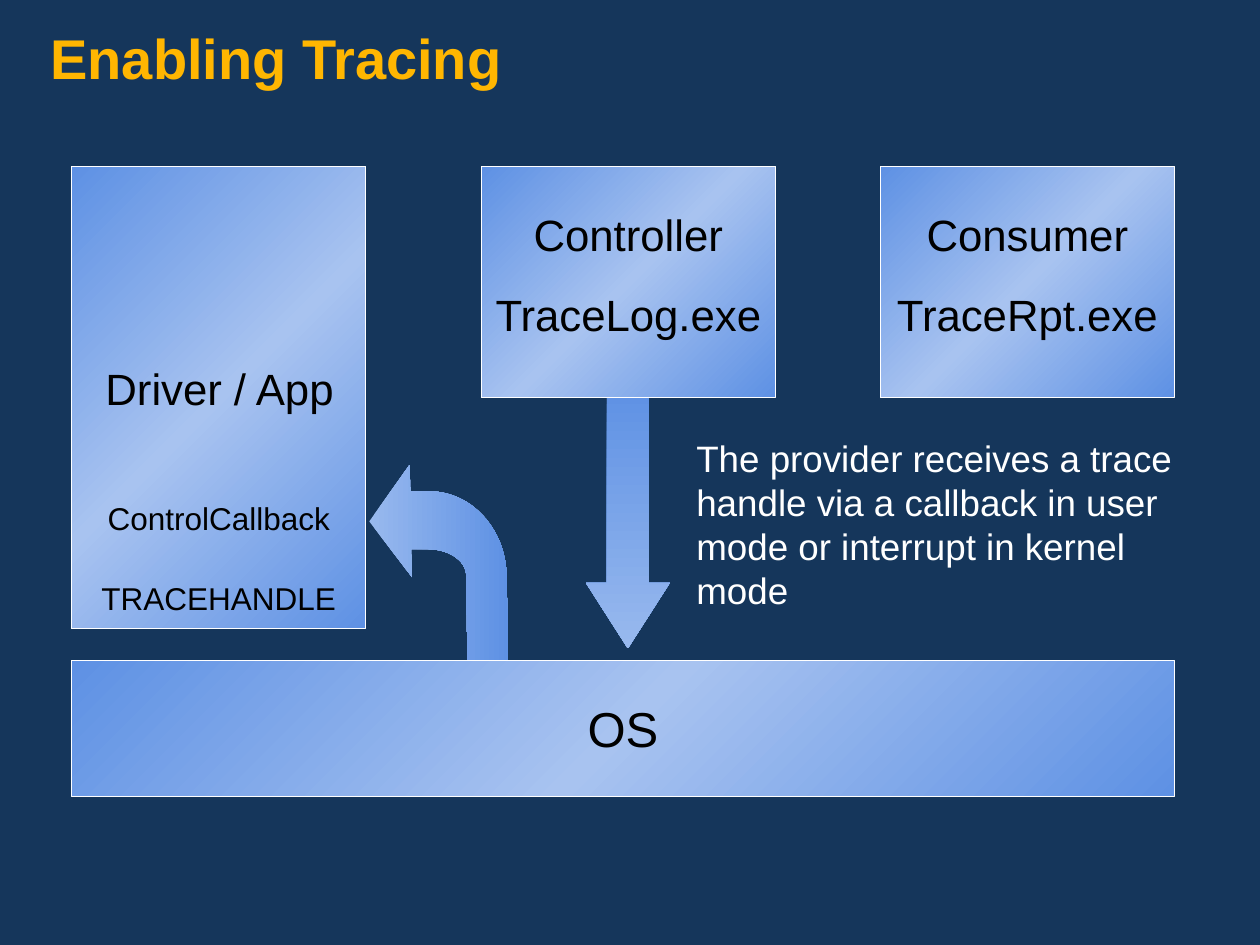
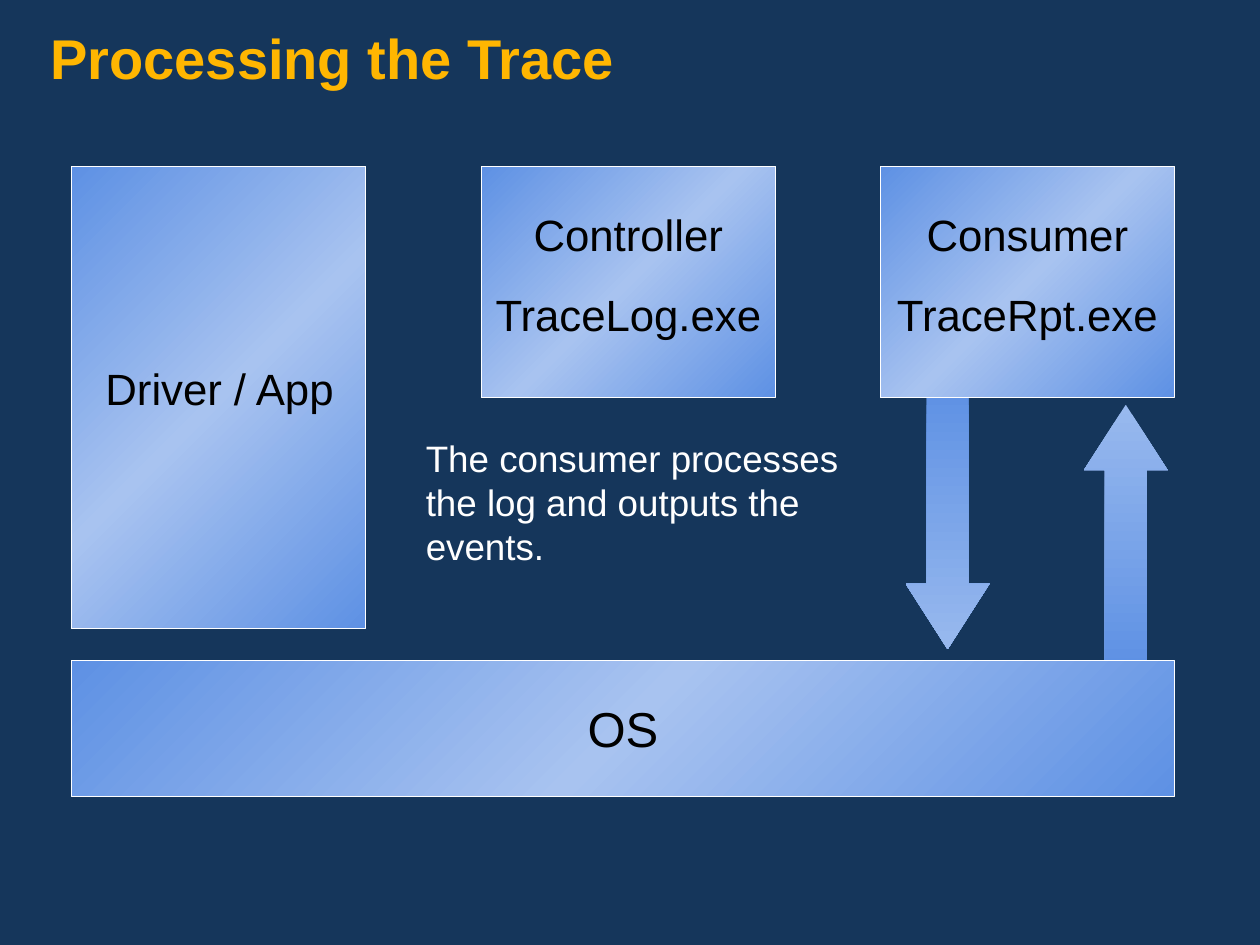
from dataclasses import dataclass
from typing import Any, NamedTuple

from pptx import Presentation
from pptx.dml.color import RGBColor
from pptx.dml.fill import FillFormat
from pptx.enum.shapes import MSO_SHAPE as Preset
from pptx.enum.text import MSO_ANCHOR as Anchor, MSO_AUTO_SIZE as AutoSize, PP_ALIGN as Align
from pptx.oxml import parse_xml
from pptx.oxml.ns import nsdecls, qn
from pptx.shapes.autoshape import Shape
from pptx.slide import Slide
from pptx.text.text import TextFrame
from pptx.util import Pt

NAVY = RGBColor(0x15, 0x36, 0x5B)
GOLD = RGBColor(0xFF, 0xB6, 0x01)
WHITE = RGBColor(0xFF, 0xFF, 0xFF)
BLACK = RGBColor(0x00, 0x00, 0x00)
BLUE = RGBColor(0x5E, 0x91, 0xE4)
SKY = RGBColor(0x98, 0xB9, 0xEE)
PALE = RGBColor(0xA8, 0xC3, 0xF0)

TITLE_ONLY = 5
COMPONENT_WIDTH = 168
COMPONENT_TOP = 95.2
DRIVER_LEFT, CONTROLLER_LEFT, CONSUMER_LEFT = 41, 275, 503
OS_TOP = 377.3
NOTE_TOP = 245.5

Point = tuple[float, float]


class Area(NamedTuple):
    left: float
    top: float
    width: float
    height: float

    def lengths(self) -> list[Pt]:
        return [Pt(value) for value in self]


@dataclass(frozen=True)
class Label:
    area: Area
    lines: tuple[str, ...]
    size: float
    color: RGBColor = BLACK
    alignment: Align = Align.CENTER
    space_between: float = 0


@dataclass(frozen=True)
class BlockArrow:
    preset: Preset
    left: float
    top: float
    colors: tuple[RGBColor, ...]


@dataclass(frozen=True)
class TraceSlide:
    title: str
    note: Label
    arrows: tuple[BlockArrow, ...]
    driver_labels: tuple[Label, ...] = ()
    has_callback_arrow: bool = False


def note(left: float, width: float, text: str) -> Label:
    return Label(Area(left, NOTE_TOP, width, 108), (text,), 21, WHITE, Align.LEFT)


def program_label(left: float, role: str, program: str) -> Label:
    area = Area(left, 115.2, COMPONENT_WIDTH, 83)
    return Label(area, (role, program), 25, space_between=15.6)


COMPONENTS = (
    Area(DRIVER_LEFT, COMPONENT_TOP, COMPONENT_WIDTH, 264),
    Area(CONTROLLER_LEFT, COMPONENT_TOP, COMPONENT_WIDTH, 132),
    Area(CONSUMER_LEFT, COMPONENT_TOP, COMPONENT_WIDTH, 132),
)
COMPONENT_LABELS = (
    Label(Area(53.2, 203, 150, 37), ("Driver / App",), 25, alignment=Align.LEFT),
    program_label(CONTROLLER_LEFT, "Controller", "TraceLog.exe"),
    program_label(CONSUMER_LEFT, "Consumer", "TraceRpt.exe"),
)
OS_AREA = Area(DRIVER_LEFT, OS_TOP, CONSUMER_LEFT + COMPONENT_WIDTH - DRIVER_LEFT, 77.8)

SLIDES = (
    TraceSlide(
        "Enabling Tracing",
        note(390.8, 296, "The provider receives a trace handle via a callback in user mode "
                         "or interrupt in kernel mode"),
        (BlockArrow(Preset.DOWN_ARROW, 334.8, 220.5, (BLUE, SKY)),),
        (
            Label(Area(DRIVER_LEFT, 281.5, COMPONENT_WIDTH, 29), ("ControlCallback",), 18),
            Label(Area(DRIVER_LEFT, 327.5, COMPONENT_WIDTH, 28), ("TRACEHANDLE",), 18),
        ),
        has_callback_arrow=True,
    ),
    TraceSlide(
        "Processing the Trace",
        note(236.2, 276, "The consumer processes the log and outputs the events."),
        (
            BlockArrow(Preset.UP_ARROW, 619.3, 231.3, (SKY, BLUE)),
            BlockArrow(Preset.DOWN_ARROW, 517.5, 221, (BLUE, SKY)),
        ),
    ),
)


def set_attributes(target: Any, values: dict[str, Any]) -> None:
    for name, value in values.items():
        setattr(target, name, value)


def fill_gradient(fill: FillFormat, colors: tuple[RGBColor, ...], clockwise_angle: float) -> None:
    """Spread the colours evenly along the given direction."""
    fill.gradient()
    fill.gradient_angle = (360 - clockwise_angle) % 360
    stops = fill._xPr.find(qn("a:gradFill")).find(qn("a:gsLst"))
    for stop in list(stops):
        stops.remove(stop)
    for index, color in enumerate(colors):
        position = 100000 * index // (len(colors) - 1)
        stops.append(parse_xml(
            f'<a:gs {nsdecls("a")} pos="{position}"><a:srgbClr val="{color}"/></a:gs>'
        ))


def write_lines(frame: TextFrame, label: Label, anchor: Anchor = Anchor.TOP) -> None:
    set_attributes(frame, {"word_wrap": True, "vertical_anchor": anchor})
    for index, line in enumerate(label.lines):
        paragraph = frame.add_paragraph() if index else frame.paragraphs[0]
        paragraph.text = line
        paragraph.alignment = label.alignment
        if index:
            paragraph.space_before = Pt(label.space_between)
        set_attributes(paragraph.font, {"name": "Arial", "size": Pt(label.size)})
        paragraph.font.color.rgb = label.color


def add_label(slide: Slide, label: Label) -> None:
    write_lines(slide.shapes.add_textbox(*label.area.lengths()).text_frame, label)


def add_panel(slide: Slide, area: Area) -> Shape:
    panel = slide.shapes.add_shape(Preset.RECTANGLE, *area.lengths())
    panel.shadow.inherit = False
    fill_gradient(panel.fill, (BLUE, PALE, BLUE), 45)
    panel.line.color.rgb = WHITE
    panel.line.width = Pt(0.75)
    return panel


def add_block_arrow(slide: Slide, arrow: BlockArrow) -> None:
    area = Area(arrow.left, arrow.top, 48, 150)
    shape = slide.shapes.add_shape(arrow.preset, *area.lengths())
    shape.adjustments[0], shape.adjustments[1] = 0.5, 0.78
    shape.shadow.inherit = False
    shape.line.fill.background()
    fill_gradient(shape.fill, arrow.colors, 90)


def curve(start: Point, control_1: Point, control_2: Point, end: Point,
          steps: int = 24) -> list[Point]:
    """Points along a cubic Bézier curve, both ends included."""
    points = []
    for step in range(steps + 1):
        t = step / steps
        weights = ((1 - t) ** 3, 3 * t * (1 - t) ** 2, 3 * t ** 2 * (1 - t), t ** 3)
        corners = (start, control_1, control_2, end)
        points.append(tuple(
            sum(weight * corner[axis] for weight, corner in zip(weights, corners))
            for axis in (0, 1)
        ))
    return points


def add_callback_arrow(slide: Slide) -> None:
    """Bent arrow from the OS up to the driver."""
    outline = [
        (211, 298), (234, 265.7), (234.5, 280.8),
        *curve((244.1, 280.8), (268.6, 280.1), (288.7, 301.7), (289.4, 328.3)),
        (290.5, 378), (267.1, 378.7),
        *curve((266.4, 329), (266.4, 320.4), (256.3, 313.9), (244.8, 313.9)),
        (234.9, 313.9), (235.4, 329.8),
    ]
    vertices = [(Pt(x), Pt(y)) for x, y in outline]
    builder = slide.shapes.build_freeform(*vertices[0])
    builder.add_line_segments(vertices[1:], close=True)
    shape = builder.convert_to_shape()
    shape.shadow.inherit = False
    shape.line.fill.background()
    fill_gradient(shape.fill, (SKY, BLUE), 0)


def set_title(slide: Slide, text: str) -> None:
    area = Area(0, 0, 720, 54)
    title = slide.shapes.title
    set_attributes(title, dict(zip(("left", "top", "width", "height"), area.lengths())))
    frame = title.text_frame
    set_attributes(frame, {
        "margin_left": Pt(28.8), "margin_right": Pt(28.8),
        "margin_top": Pt(18), "margin_bottom": Pt(3.6),
        "auto_size": AutoSize.NONE,
    })
    write_lines(frame, Label(area, (text,), 32, GOLD, Align.LEFT))
    frame.paragraphs[0].line_spacing = 0.9
    frame.paragraphs[0].font.bold = True


def draw_slide(slide: Slide, content: TraceSlide) -> None:
    set_title(slide, content.title)
    for arrow in content.arrows:
        add_block_arrow(slide, arrow)
    if content.has_callback_arrow:
        add_callback_arrow(slide)
    for area in COMPONENTS:
        add_panel(slide, area)
    for label in (content.note, *COMPONENT_LABELS, *content.driver_labels):
        add_label(slide, label)
    write_lines(add_panel(slide, OS_AREA).text_frame, Label(OS_AREA, ("OS",), 28), Anchor.MIDDLE)


def main() -> None:
    presentation = Presentation()
    set_attributes(presentation, {"slide_width": Pt(720), "slide_height": Pt(540)})
    background = presentation.slide_master.background.fill
    background.solid()
    background.fore_color.rgb = NAVY
    for content in SLIDES:
        layout = presentation.slide_layouts[TITLE_ONLY]
        draw_slide(presentation.slides.add_slide(layout), content)
    presentation.save("out.pptx")


if __name__ == "__main__":
    main()
